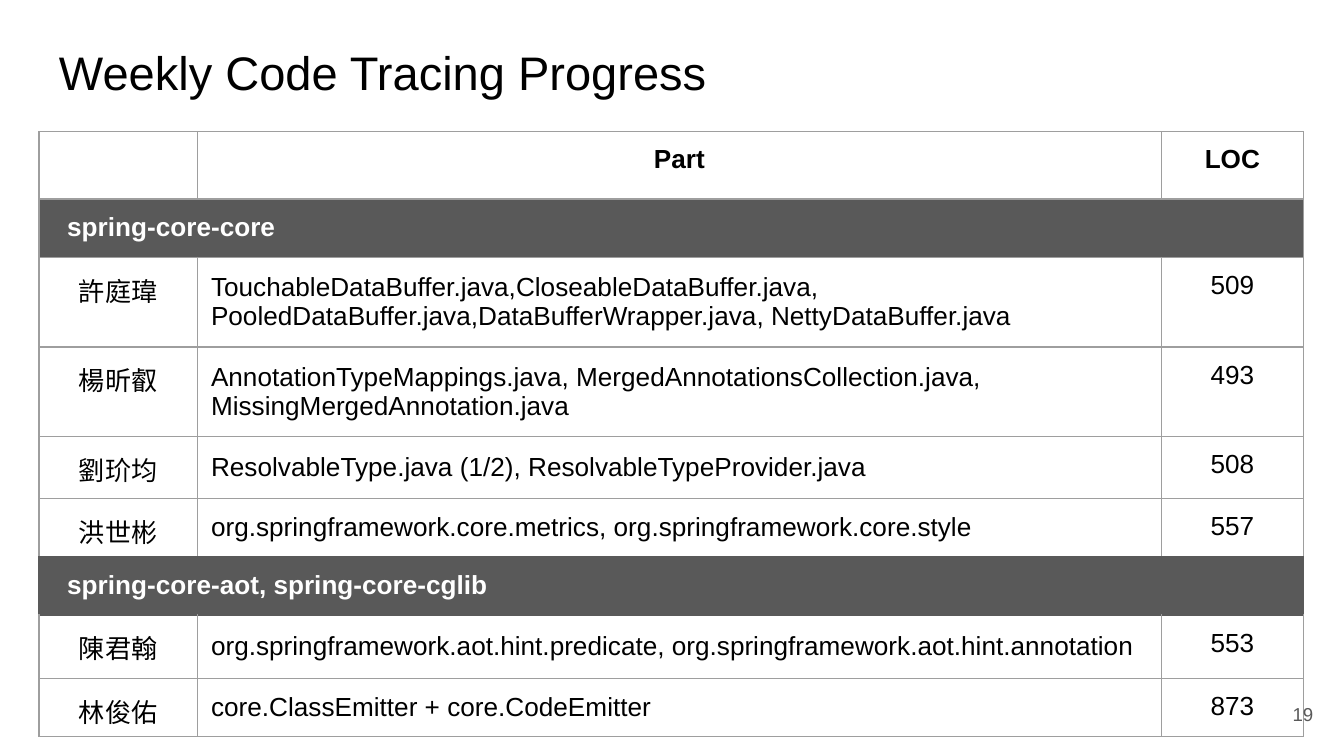
from lxml.etree import SubElement
from pptx import Presentation
from pptx.dml.color import RGBColor
from pptx.enum.text import MSO_ANCHOR, PP_ALIGN
from pptx.oxml.ns import qn
from pptx.util import Inches, Pt

COLORS = {"text": "000000", "light": "FFFFFF", "dark": "595959", "border": "9E9E9E"}
FONT = "Arial"
COLUMN_WIDTHS = [1.18, 7.17, 1.06]
ROW_HEIGHTS = [0.38, 0.39, 0.46, 0.47, 0.46, 0.4, 0.4, 0.47, 0.43]
HEADER = ("", "Part", "LOC")
SECTIONS = [
    ("spring-core-core", MSO_ANCHOR.TOP, "border", [
        ("許庭瑋", "TouchableDataBuffer.java,CloseableDataBuffer.java, "
         "PooledDataBuffer.java,DataBufferWrapper.java, NettyDataBuffer.java", "509"),
        ("楊昕叡", "AnnotationTypeMappings.java, MergedAnnotationsCollection.java, "
         "MissingMergedAnnotation.java", "493"),
        ("劉玠均", "ResolvableType.java (1/2), ResolvableTypeProvider.java", "508"),
        ("洪世彬", "org.springframework.core.metrics, org.springframework.core.style", "557"),
    ]),
    ("spring-core-aot, spring-core-cglib", MSO_ANCHOR.MIDDLE, "dark", [
        ("陳君翰", "org.springframework.aot.hint.predicate, "
         "org.springframework.aot.hint.annotation", "553"),
        ("林俊佑", "core.ClassEmitter + core.CodeEmitter", "873"),
    ]),
]


def rgb(name):
    return RGBColor.from_string(COLORS[name])


def set_margins(target, left=0.1):
    target.margin_left = Inches(left)
    target.margin_right = target.margin_top = target.margin_bottom = Inches(0.1)


def add_run(paragraph, text, size, color="text", bold=False, align=PP_ALIGN.LEFT):
    paragraph.alignment = align
    run = paragraph.add_run()
    run.text = text
    run.font.name = FONT
    run.font.size = Pt(size)
    run.font.bold = bold
    run.font.color.rgb = rgb(color)


def add_text(slide, box, text, size, color, align=PP_ALIGN.LEFT):
    frame = slide.shapes.add_textbox(*map(Inches, box)).text_frame
    frame.word_wrap = True
    frame.vertical_anchor = MSO_ANCHOR.MIDDLE
    set_margins(frame)
    add_run(frame.paragraphs[0], text, size, color, align=align)


def set_borders(cell, top="border", bottom="border", sides="border"):
    properties = cell._tc.get_or_add_tcPr()
    edges = {"lnL": sides, "lnR": sides, "lnT": top, "lnB": bottom}
    for index, (edge, color) in enumerate(edges.items()):
        line = SubElement(properties, qn(f"a:{edge}"), w=str(Pt(0.75)))
        fill = SubElement(line, qn("a:solidFill"))
        SubElement(fill, qn("a:srgbClr"), val=COLORS[color])
        properties.insert(index, line)


def fill_row(row, texts, bold=False, top="border", bottom="border"):
    for column, (cell, text) in enumerate(zip(row.cells, texts)):
        set_margins(cell)
        cell.fill.background()
        set_borders(cell, top, bottom)
        is_part = column == 1 and not bold
        cell.vertical_anchor = MSO_ANCHOR.MIDDLE if is_part else MSO_ANCHOR.TOP
        if text:
            align = PP_ALIGN.LEFT if is_part else PP_ALIGN.CENTER
            add_run(cell.text_frame.paragraphs[0], text, 14, bold=bold, align=align)


def fill_section(row, title, anchor, border):
    cells = list(row.cells)
    for cell in cells:
        set_margins(cell, left=0.21)
        cell.fill.solid()
        cell.fill.fore_color.rgb = rgb("dark")
        set_borders(cell, border, border, border)
        cell.text_frame.paragraphs[0].font.size = Pt(14)
    cells[0].merge(cells[-1])
    cells[0].vertical_anchor = anchor
    add_run(cells[0].text_frame.paragraphs[0], title, 14, "light", bold=True)


def add_progress_table(slide):
    table = slide.shapes.add_table(
        len(ROW_HEIGHTS), len(COLUMN_WIDTHS), Inches(0.29), Inches(0.98),
        Inches(sum(COLUMN_WIDTHS)), Inches(sum(ROW_HEIGHTS))).table
    table.first_row = table.horz_banding = False
    for column, width in zip(table.columns, COLUMN_WIDTHS):
        column.width = Inches(width)
    for row, height in zip(table.rows, ROW_HEIGHTS):
        row.height = Inches(height)

    rows = iter(table.rows)
    fill_row(next(rows), HEADER, bold=True)
    for index, (title, anchor, border, entries) in enumerate(SECTIONS):
        fill_section(next(rows), title, anchor, border)
        following = SECTIONS[index + 1][2] if index + 1 < len(SECTIONS) else "border"
        for position, entry in enumerate(entries):
            top = border if position == 0 else "border"
            bottom = following if position == len(entries) - 1 else "border"
            fill_row(next(rows), entry, top=top, bottom=bottom)


def main():
    presentation = Presentation()
    presentation.slide_width = Inches(10)
    presentation.slide_height = presentation.slide_width * 9 // 16
    slide = presentation.slides.add_slide(presentation.slide_layouts[6])
    add_text(slide, (0.34, 0.22, 9.32, 0.63), "Weekly Code Tracing Progress", 25.2, "text")
    add_progress_table(slide)
    add_text(slide, (9.27, 5.1, 0.6, 0.43), "19", 10, "dark", PP_ALIGN.RIGHT)
    presentation.save("out.pptx")


if __name__ == "__main__":
    main()
